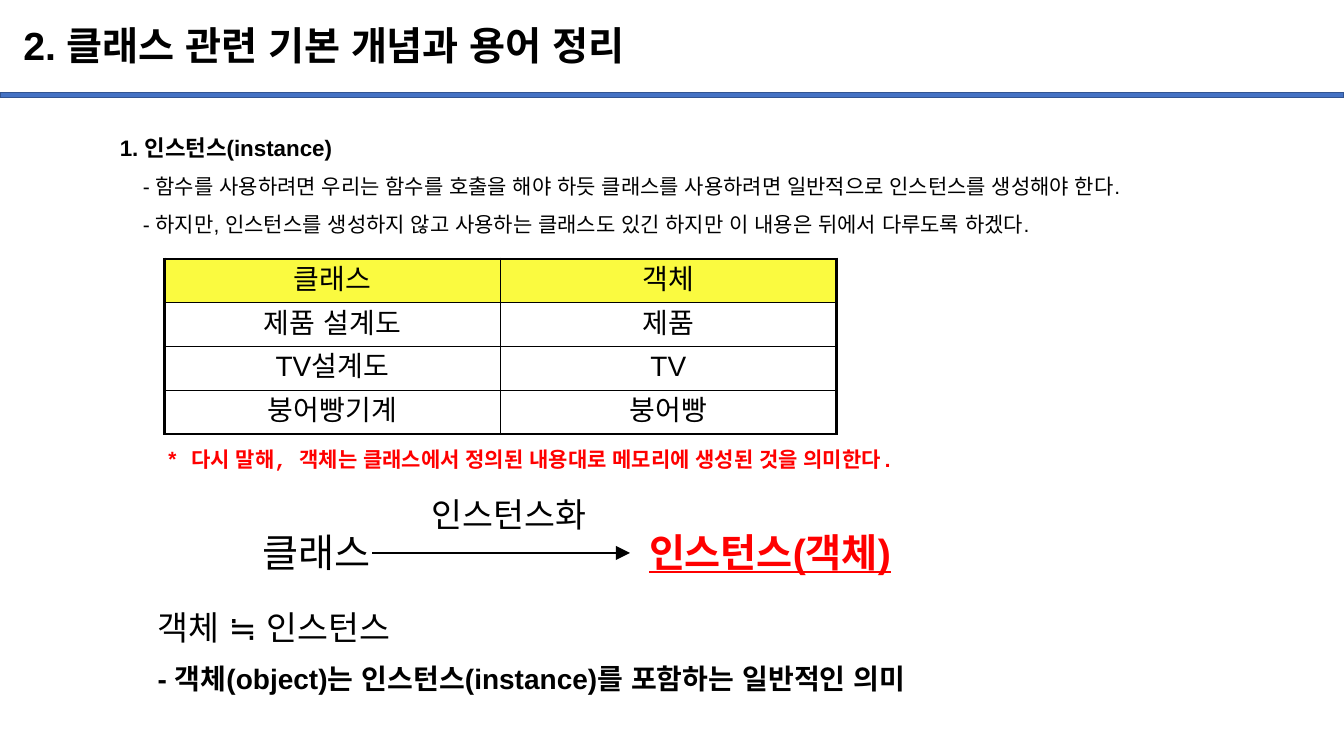
from dataclasses import dataclass
from lxml import etree
from pptx import Presentation
from pptx import util as u
from pptx.dml.color import RGBColor
from pptx.enum import shapes, text
from pptx.oxml.ns import qn

Pt = u.Pt


@dataclass(frozen=True)
class Theme:
    ink: str = "000000"
    accent: str = "FF0000"
    bar: str = "4472C4"
    bar_edge: str = "325491"
    header: str = "FAFA40"
    sans: str = "Arial"
    mono: str = "Courier New"
    title: int = 28
    large: int = 24
    medium: int = 20
    heading: int = 16
    body: int = 15


theme = Theme()


def style(paragraph, size, bold=False, color=theme.ink, face=theme.sans, underline=False):
    for run in paragraph.runs:
        run.font.size = Pt(size)
        run.font.bold = bold
        run.font.name = face
        run.font.underline = underline
        run.font.color.rgb = RGBColor.from_string(color)
        etree.SubElement(run._r.get_or_add_rPr(), qn("a:ea"), typeface=theme.sans)


def add_text(left, top, width, height, *lines):
    frame = slide.shapes.add_textbox(Pt(left), Pt(top), Pt(width), Pt(height)).text_frame
    frame.word_wrap = True
    frame.text = "\n".join(lines)
    return frame


deck = Presentation()
deck.slide_width, deck.slide_height = Pt(960), Pt(540)
slide = deck.slides.add_slide(deck.slide_layouts[5])

title = slide.shapes.title
title.left, title.top, title.width, title.height = Pt(9.4), Pt(7.2), Pt(828), Pt(53.3)
title.text_frame.text = "2. 클래스 관련 기본 개념과 용어 정리"
title.text_frame.auto_size = text.MSO_AUTO_SIZE.NONE
title.text_frame.vertical_anchor = text.MSO_ANCHOR.MIDDLE
heading = title.text_frame.paragraphs[0]
heading.alignment = text.PP_ALIGN.LEFT
heading.line_spacing = 0.9
style(heading, theme.title, bold=True)

title_bar = slide.shapes.add_shape(
    shapes.MSO_SHAPE.RECTANGLE, Pt(0), Pt(66.2), Pt(960), Pt(3.6))
title_bar.shadow.inherit = False
title_bar.fill.solid()
title_bar.fill.fore_color.rgb = RGBColor.from_string(theme.bar)
title_bar.line.color.rgb = RGBColor.from_string(theme.bar_edge)
title_bar.line.width = Pt(1)

intro = add_text(
    78.5, 82.8, 843.8, 87.8,
    "1. 인스턴스(instance)",
    "- 함수를 사용하려면 우리는 함수를 호출을 해야 하듯 클래스를 사용하려면 일반적으로 인스턴스를 생성해야 한다.",
    "- 하지만, 인스턴스를 생성하지 않고 사용하는 클래스도 있긴 하지만 이 내용은 뒤에서 다루도록 하겠다.")
for index, line in enumerate(intro.paragraphs):
    line.line_spacing = 1.5
    style(line, theme.body if index else theme.heading, bold=index == 0)
    if index:
        line._p.get_or_add_pPr().set("marL", str(Pt(16.5)))

comparison = [
    ("클래스", "객체"),
    ("제품 설계도", "제품"),
    ("TV설계도", "TV"),
    ("붕어빵기계", "붕어빵"),
]
table = slide.shapes.add_table(4, 2, Pt(117.4), Pt(185), Pt(480), Pt(124.8)).table
for row_index, row in enumerate(comparison):
    table.rows[row_index].height = Pt(31.2)
    for column_index, term in enumerate(row):
        cell = table.cell(row_index, column_index)
        cell.text = term
        cell.text_frame.paragraphs[0].alignment = text.PP_ALIGN.CENTER
        style(cell.text_frame.paragraphs[0], theme.medium)
        outer_edges = {
            "a:lnL": column_index == 0,
            "a:lnR": column_index == 1,
            "a:lnT": row_index == 0,
            "a:lnB": row_index == 3,
        }
        for edge, is_outer in outer_edges.items():
            border = etree.SubElement(
                cell._tc.get_or_add_tcPr(), qn(edge), w=str(Pt(2.25 if is_outer else 1)))
            paint = etree.SubElement(border, qn("a:solidFill"))
            etree.SubElement(paint, qn("a:srgbClr"), val=theme.ink)
        if row_index == 0:
            cell.fill.solid()
            cell.fill.fore_color.rgb = RGBColor.from_string(theme.header)
        else:
            cell.fill.background()

remark = add_text(
    111.6, 315.4, 652.3, 25.2,
    "* 다시 말해, 객체는 클래스에서 정의된 내용대로 메모리에 생성된 것을 의미한다.")
style(remark.paragraphs[0], theme.body, bold=True, color=theme.accent, face=theme.mono)

class_term = add_text(186, 374, 80, 42, "클래스")
instance_term = add_text(450, 374, 200, 42, "인스턴스(객체)")
style(class_term.paragraphs[0], theme.title)
style(instance_term.paragraphs[0], theme.title, bold=True, color=theme.accent, underline=True)
for term in (class_term, instance_term):
    term.margin_left = term.margin_right = 0
    term.paragraphs[0].alignment = text.PP_ALIGN.CENTER

instantiation = slide.shapes.add_connector(
    shapes.MSO_CONNECTOR.STRAIGHT, Pt(266), Pt(395), Pt(450), Pt(395))
instantiation.begin_connect(class_term._parent, 3)
instantiation.end_connect(instance_term._parent, 1)
instantiation.line.color.rgb = RGBColor.from_string(theme.ink)
instantiation.line.width = Pt(2)
etree.SubElement(
    instantiation.line._get_or_add_ln(), qn("a:tailEnd"), type="triangle", w="lg", len="lg")
etree.SubElement(instantiation._element.spPr, qn("a:effectLst"))

arrow_label = add_text(265, 349.2, 197.3, 36, "인스턴스화")
arrow_label.paragraphs[0].alignment = text.PP_ALIGN.CENTER
style(arrow_label.paragraphs[0], theme.large)

summary = add_text(
    105.5, 429.8, 618, 72.7,
    "객체 ≒ 인스턴스",
    "- 객체(object)는 인스턴스(instance)를 포함하는 일반적인 의미")
style(summary.paragraphs[0], theme.large)
style(summary.paragraphs[1], theme.medium, bold=True)
summary.paragraphs[1].space_before = Pt(10)

deck.save("out.pptx")
